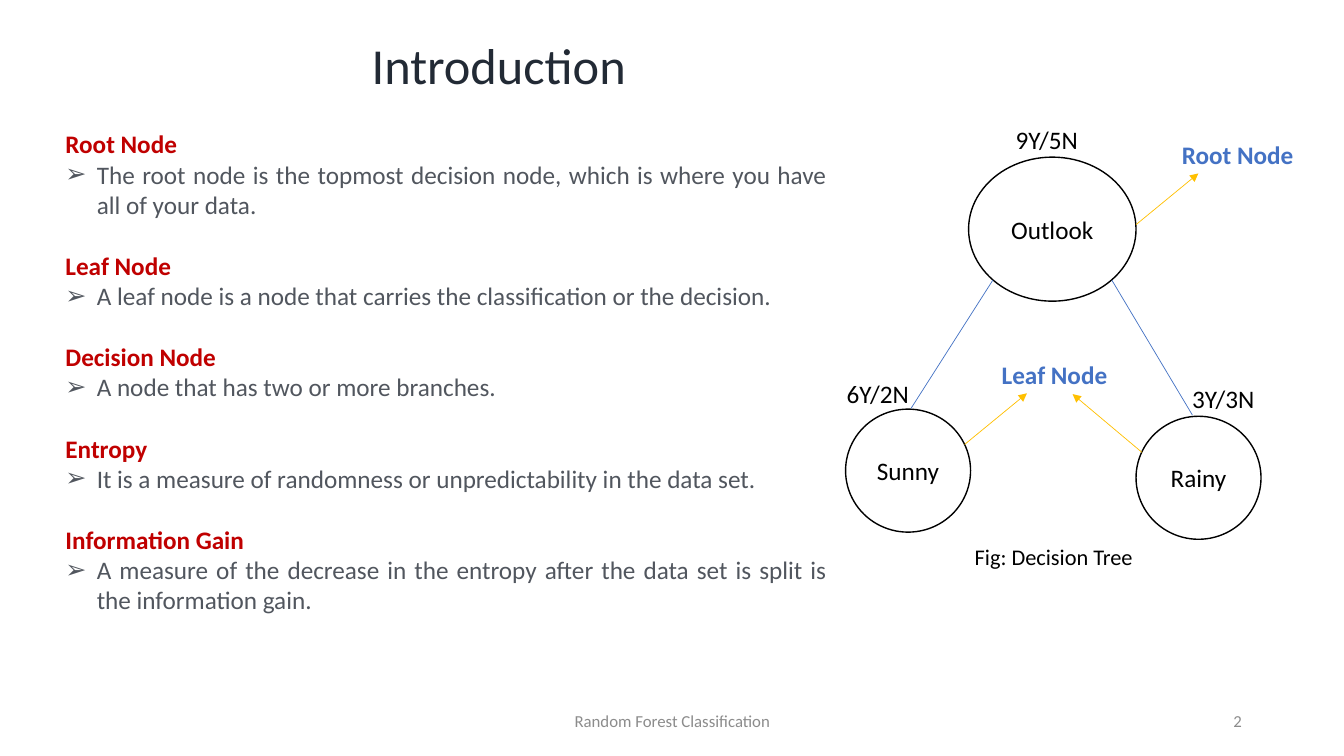
from lxml import etree
from pptx import Presentation
from pptx.dml.color import RGBColor
from pptx.enum.shapes import MSO_CONNECTOR, MSO_SHAPE
from pptx.enum.text import MSO_ANCHOR, PP_ALIGN
from pptx.oxml.ns import qn
from pptx.util import Cm, Pt

FONT = "Calibri"
BLACK = RGBColor(0x00, 0x00, 0x00)
WHITE = RGBColor(0xFF, 0xFF, 0xFF)
NAVY = RGBColor(0x22, 0x2A, 0x35)
RED = RGBColor(0xC0, 0x00, 0x00)
SLATE = RGBColor(0x51, 0x56, 0x5E)
BLUE = RGBColor(0x44, 0x72, 0xC4)
AMBER = RGBColor(0xFF, 0xC0, 0x00)
GREY = RGBColor(0x8C, 0x8C, 0x8C)

# Content; all places and sizes are in centimetres
TITLE = "Introduction"
DEFINITIONS = [
    ("Root Node", "The root node is the topmost decision node, which is where you have all of your data."),
    ("Leaf Node", "A leaf node is a node that carries the classification or the decision."),
    ("Decision Node", "A node that has two or more branches."),
    ("Entropy", "It is a measure of randomness or unpredictability in the data set."),
    ("Information Gain", "A measure of the decrease in the entropy after the data set is split is the information gain."),
]
# Text, left, top, width, height
NODES = [
    ("Outlook", 24.41, 3.96, 4.22, 3.63),
    ("Sunny", 21.31, 10.31, 3.15, 3.1),
    ("Rainy", 28.63, 10.49, 3.15, 3.1),
]
# Text, left, top, width, size, colour, bold
LABELS = [
    ("9Y/5N", 24.69, 3.0, 3.38, 18, BLACK, False),
    ("6Y/2N", 20.7, 9.42, 2.84, 18, BLACK, False),
    ("3Y/3N", 29.41, 9.53, 2.84, 18, BLACK, False),
    ("Fig: Decision Tree", 22.25, 13.56, 8.61, 16, BLACK, False),
    ("Root Node", 29.26, 3.38, 3.86, 18, BLUE, True),
    ("Leaf Node", 24.82, 8.94, 3.51, 18, BLUE, True),
]
# Start x, start y, end x, end y
BRANCHES = [(25.02, 7.06, 22.96, 10.29), (28.02, 7.06, 30.05, 10.46)]
POINTERS = [
    (28.63, 5.66, 30.2, 4.37),
    (24.31, 11.2, 25.88, 9.91),
    (28.78, 11.4, 27.03, 9.93),
]
# Text, left, width, alignment
FOOTERS = [
    ("Random Forest Classification", 11.23, 11.43, PP_ALIGN.CENTER),
    ("2", 23.93, 7.62, PP_ALIGN.RIGHT),
]


def format_paragraph(paragraph, text, size, color, bold=False, align=PP_ALIGN.CENTER):
    paragraph.text = text
    paragraph.alignment = align
    font = paragraph.font
    font.name, font.size, font.bold = FONT, Pt(size), bold
    font.color.rgb = color


def add_text_box(slide, left, top, width, height, anchor=MSO_ANCHOR.TOP):
    box = slide.shapes.add_textbox(Cm(left), Cm(top), Cm(width), Cm(height))
    frame = box.text_frame
    frame.word_wrap = True
    frame.vertical_anchor = anchor
    return frame


def add_bullet(paragraph, indent):
    properties = paragraph._p.get_or_add_pPr()
    properties.set("marL", str(indent))
    properties.set("indent", str(-indent))
    etree.SubElement(properties, qn("a:buFont"), typeface="Arial")
    etree.SubElement(properties, qn("a:buChar"), char="➢")


def add_line(slide, ends, color, arrow=False):
    connector = slide.shapes.add_connector(MSO_CONNECTOR.STRAIGHT, *map(Cm, ends))
    connector.line.color.rgb = color
    connector.line.width = Pt(0.5)
    if arrow:
        etree.SubElement(connector.line._get_or_add_ln(), qn("a:tailEnd"), type="triangle")
    etree.SubElement(connector._element.spPr, qn("a:effectLst"))


def add_definitions(slide):
    frame = add_text_box(slide, 1.4, 3.12, 19.69, 12.6)
    for index, (term, meaning) in enumerate(DEFINITIONS):
        heading = frame.add_paragraph() if index else frame.paragraphs[0]
        format_paragraph(heading, term, 18, RED, True, PP_ALIGN.LEFT)
        if index:
            heading.space_before = Pt(22)
        body = frame.add_paragraph()
        format_paragraph(body, meaning, 18, SLATE, align=PP_ALIGN.JUSTIFY)
        add_bullet(body, Cm(0.79))


def add_node(slide, text, *box):
    node = slide.shapes.add_shape(MSO_SHAPE.OVAL, *map(Cm, box))
    node.shadow.inherit = False
    node.fill.solid()
    node.fill.fore_color.rgb = WHITE
    node.line.color.rgb = BLACK
    node.line.width = Pt(1)
    node.text_frame.vertical_anchor = MSO_ANCHOR.MIDDLE
    format_paragraph(node.text_frame.paragraphs[0], text, 18, BLACK)


def main():
    presentation = Presentation()
    presentation.slide_width, presentation.slide_height = Cm(33.87), Cm(19.05)
    slide = presentation.slides.add_slide(presentation.slide_layouts[5])

    # Title
    title = slide.shapes.title
    title.left, title.top, title.width, title.height = map(Cm, (5.79, 0.74, 13.56, 1.8))
    title.text_frame.vertical_anchor = MSO_ANCHOR.TOP
    format_paragraph(title.text_frame.paragraphs[0], TITLE, 36, NAVY)

    add_definitions(slide)

    # Decision tree
    for node in NODES:
        add_node(slide, *node)
    for ends in BRANCHES:
        add_line(slide, ends, BLUE)
    for text, left, top, width, size, color, bold in LABELS:
        frame = add_text_box(slide, left, top, width, 1.02)
        format_paragraph(frame.paragraphs[0], text, size, color, bold)
    for ends in POINTERS:
        add_line(slide, ends, AMBER, arrow=True)

    # Footer and page number
    for text, left, width, align in FOOTERS:
        frame = add_text_box(slide, left, 17.65, width, 1.02, MSO_ANCHOR.MIDDLE)
        format_paragraph(frame.paragraphs[0], text, 12, GREY, align=align)

    presentation.save("out.pptx")


if __name__ == "__main__":
    main()
